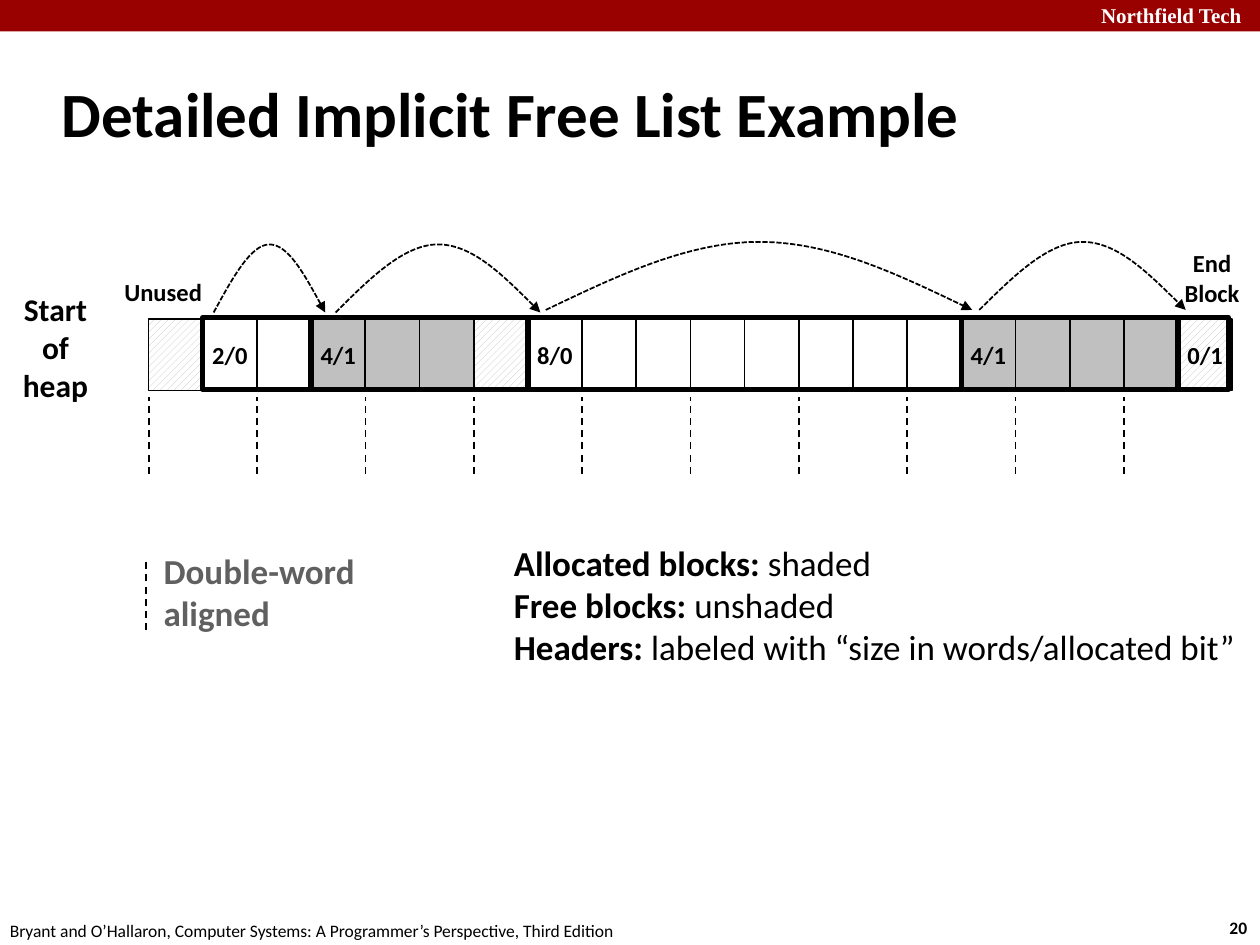
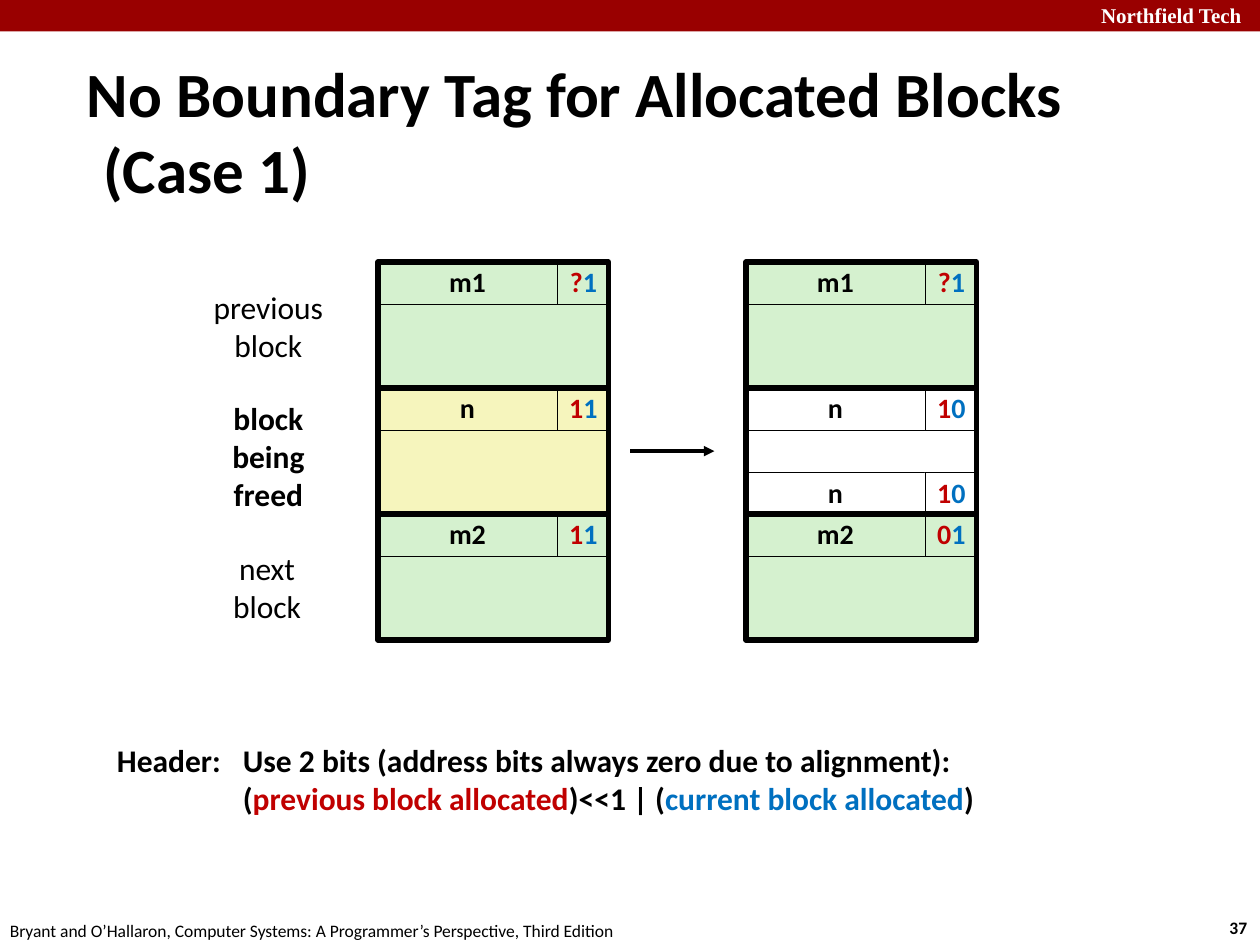
import pptx
import pptx.util
import pptx.dml.color
import pptx.enum.dml
import pptx.enum.shapes
import pptx.enum.text
import pptx.oxml.ns
import lxml.etree

Inches, Pt, qn = pptx.util.Inches, pptx.util.Pt, pptx.oxml.ns.qn
Align = pptx.enum.text.PP_ALIGN
Anchor = pptx.enum.text.MSO_ANCHOR
Fit = pptx.enum.text.MSO_AUTO_SIZE
Dash = pptx.enum.dml.MSO_LINE

WIDTH, HEIGHT = 10, 7.5
COLOURS = {
    "band": "990000", "black": "000000", "white": "FFFFFF", "shade": "C0C0C0",
    "muted": "606060", "green": "D5F1CF", "yellow": "F6F5BD",
    "previous": "C00000", "current": "0070C0",
}
RGB = {name: pptx.dml.color.RGBColor.from_string(code) for name, code in COLOURS.items()}


def box(slide, left, top, width, height, fill=None, line=None):
    """Add a rectangle; fill is a colour name, "hatch" or None, line a width in points."""
    shape = slide.shapes.add_shape(
        pptx.enum.shapes.MSO_SHAPE.RECTANGLE,
        Inches(left), Inches(top), Inches(width), Inches(height))
    shape.shadow.inherit = False
    if fill == "hatch":
        shape.fill.patterned()
        shape.fill.pattern = pptx.enum.dml.MSO_PATTERN.WIDE_UPWARD_DIAGONAL
        shape.fill.fore_color.rgb = RGB["shade"]
        shape.fill.back_color.rgb = RGB["white"]
    elif fill:
        shape.fill.solid()
        shape.fill.fore_color.rgb = RGB[fill]
    else:
        shape.fill.background()
    if line:
        shape.line.color.rgb = RGB["black"]
        shape.line.width = Pt(line)
    else:
        shape.line.fill.background()
    return shape


def write(shape, paragraphs, size, align=Align.LEFT, anchor=Anchor.MIDDLE,
          font="Calibri", hanging=0, grow=True, wrap=False):
    """Fill a shape with paragraphs, each a list of (text, colour, bold) runs."""
    frame = shape.text_frame
    frame.word_wrap = wrap
    frame.auto_size = Fit.SHAPE_TO_FIT_TEXT if grow else Fit.NONE
    frame.vertical_anchor = anchor
    for number, runs in enumerate(paragraphs):
        paragraph = frame.add_paragraph() if number else frame.paragraphs[0]
        paragraph.alignment = align
        if hanging:
            properties = paragraph._p.get_or_add_pPr()
            properties.set("marL", str(Inches(hanging)))
            properties.set("indent", str(-Inches(hanging)))
        for text, colour, bold in runs:
            for part, words in enumerate(text.split("\n")):
                if part:
                    paragraph.add_line_break()
                run = paragraph.add_run()
                run.text = words
                run.font.name, run.font.size, run.font.bold = font, Pt(size), bold
                run.font.color.rgb = RGB[colour]


deck = pptx.Presentation()
deck.slide_width, deck.slide_height = Inches(WIDTH), Inches(HEIGHT)
title_only = deck.slide_layouts[5]

# Band, title and footer shared by both slides
pages = [
    ("20", "Detailed Implicit Free List Example", (0.39, 0.48, 8.3, 0.83)),
    ("37", "No Boundary Tag for Allocated Blocks\n(Case 1)", (0.59, 0.72, 9.33, 0.63)),
]
CITATION = "Bryant and O’Hallaron, Computer Systems: A Programmer’s Perspective, Third Edition"
for page_number, heading, place in pages:
    slide = deck.slides.add_slide(title_only)
    box(slide, 0, 0, WIDTH, HEIGHT / 30, "band")
    title = slide.shapes.title
    title.left, title.top, title.width, title.height = map(Inches, place)
    write(title, [[(heading, "black", True)]], 36, hanging=0.13, grow=False, wrap=True)
    for text, spot, size, colour, bold, font in [
        ("Northfield Tech", (8.64, -0.03, 1.43, 0.3), 12, "white", True, "Times New Roman"),
        (page_number, (9.66, 7.23, 0.37, 0.27), 10, "black", True, "Calibri"),
        (CITATION, (-0.02, 7.25, 5.08, 0.27), 10, "black", False, "Calibri"),
    ]:
        write(slide.shapes.add_textbox(*map(Inches, spot)), [[(text, colour, bold)]],
              size, anchor=Anchor.TOP, font=font)
heap_slide, tag_slide = deck.slides
arrowed = []

# Heap: a row of equal words, grouped into blocks
WORD, WORD_HEIGHT, HEAP_LEFT, HEAP_TOP = 0.43, 0.57, 1.18, 2.53
blocks = [  # first word, words, header, fill of each word
    (0, 1, "", ["hatch"]),
    (1, 2, "2/0", ["white"] * 2),
    (3, 4, "4/1", ["shade"] * 3 + ["hatch"]),
    (7, 8, "8/0", ["white"] * 8),
    (15, 4, "4/1", ["shade"] * 4),
    (19, 1, "0/1", ["hatch"]),
]
for first, words, header, fills in blocks:
    for offset, fill in enumerate(fills):
        word = box(heap_slide, HEAP_LEFT + (first + offset) * WORD, HEAP_TOP,
                   WORD, WORD_HEIGHT, fill, 1)
        if header and offset == 0:
            write(word, [[(header, "black", True)]], 14, Align.CENTER, grow=False)
for first, words, header, fills in blocks[1:]:
    box(heap_slide, HEAP_LEFT + first * WORD, HEAP_TOP - 0.01,
        words * WORD - (0.03 if first == 19 else 0), WORD_HEIGHT, None, 3)

# Arcs from each header to the next, as smooth curves
ARC_HEIGHT = 0.54
for start, end, top in [(1.2, 3.26, 1.94), (3.45, 7.23, 1.94),
                        (7.33, 15.2, 1.92), (15.33, 19.14, 1.92)]:
    left, span = HEAP_LEFT + start * WORD, (end - start) * WORD
    builder = heap_slide.shapes.build_freeform(
        Inches(left), Inches(top + ARC_HEIGHT), scale=1.0)
    builder.add_line_segments(
        [(Inches(left + span / 2), Inches(top)),
         (Inches(left + span), Inches(top + ARC_HEIGHT))], close=False)
    arc = builder.convert_to_shape()
    arc.shadow.inherit = False
    arc.fill.background()
    arc.line.color.rgb = RGB["black"]
    arc.line.width = Pt(1)
    arc.line.dash_style = Dash.SQUARE_DOT
    arrowed.append(arc)
    path = arc.element.spPr.find(".//" + qn("a:path"))
    for straight in path.findall(qn("a:lnTo")):
        path.remove(straight)
    for controls in [((1 / 6, 1 / 2), (1 / 3, 0), (1 / 2, 0)),
                     ((2 / 3, 0), (5 / 6, 1 / 2), (1, 1))]:
        curve = lxml.etree.SubElement(path, qn("a:cubicBezTo"))
        for across, down in controls:
            lxml.etree.SubElement(curve, qn("a:pt"),
                                  x=str(Inches(span * across)),
                                  y=str(Inches(ARC_HEIGHT * down)))

heap_labels = [
    (["Start", "of", "heap"], (0.08, 2.25, 0.72, 1.01), 18, "black", Align.CENTER),
    (["End", "Block"], (9.3, 1.92, 0.64, 0.57), 14, "black", Align.CENTER),
    (["Unused"], (0.84, 2.13, 0.91, 0.37), 14, "black", Align.CENTER),
    (["Double-word", "aligned"], (1.2, 4.31, 2.04, 0.77), 20, "muted", Align.LEFT),
]
for lines, place, size, colour, align in heap_labels:
    write(heap_slide.shapes.add_textbox(*map(Inches, place)),
          [[(line, colour, True)] for line in lines], size, align)

legend = [("Allocated blocks: ", "shaded"), ("Free blocks: ", "unshaded"),
          ("Headers: ", "labeled with “size in words/allocated bit”")]
write(heap_slide.shapes.add_textbox(*map(Inches, (3.98, 4.25, 5.97, 1.11))),
      [[(term, "black", True), (meaning, "black", False)] for term, meaning in legend],
      20, anchor=Anchor.TOP)

# Blocks before and after freeing: three rows to a block, size and tag columns
ROW, SIZE_WIDTH, TAG_WIDTH, STACK_TOP = 1 / 3, 1.42, 0.42, 2.08
BLOCK_WIDTH = 1.83
stacks = [
    (3, [("m1", "?1", "green"), ("n", "11", "yellow"), ("m2", "11", "green")]),
    (5.92, [("m1", "?1", "green"), ("n", "10", "white"), ("m2", "01", "green")]),
]
for left, stack in stacks:
    for position, (size_text, bits, fill) in enumerate(stack):
        top = STACK_TOP + position * 3 * ROW
        freed = fill == "white"
        box(tag_slide, left, top + ROW, BLOCK_WIDTH, 2 * ROW, fill, 0.26)
        for row in ((0, 2) if freed else (0,)):
            for x, width, runs in [
                (left, SIZE_WIDTH, [(size_text, "black", True)]),
                (left + SIZE_WIDTH, TAG_WIDTH,
                 [(bits[0], "previous", True), (bits[1], "current", True)]),
            ]:
                field = box(tag_slide, x, top + row * ROW, width, ROW, fill, 0.26)
                write(field, [runs], 16, Align.CENTER, grow=False)
                field.text_frame.paragraphs[0].line_spacing = 0.98
        box(tag_slide, left, top, BLOCK_WIDTH, 3 * ROW, None, 3)

for lines, place, bold in [
    (["previous", "block"], (1.58, 2.24, 1.1, 0.71), False),
    (["block", "being", "freed"], (1.74, 3.12, 0.78, 1.01), True),
    (["next", "block"], (1.74, 4.31, 0.76, 0.71), False),
]:
    write(tag_slide.shapes.add_textbox(*map(Inches, place)),
          [[(line, "black", bold)] for line in lines], 18, Align.CENTER, Anchor.TOP)

write(tag_slide.shapes.add_textbox(*map(Inches, (0.83, 5.83, 7.06, 0.71))),
      [[("Header:\tUse 2 bits (address bits always zero due to alignment):\n(", "black", True),
        ("previous block allocated", "previous", True),
        (")<<1 | (", "black", True),
        ("current block allocated", "current", True),
        (")", "black", True)]],
      18, anchor=Anchor.TOP, hanging=1)

# Double-word boundaries, their key, and the arrow between the stacks
rules = [(heap_slide, HEAP_LEFT + word * WORD, 3.76, HEAP_LEFT + word * WORD, 3.15, 1, Dash.DASH)
         for word in range(0, 20, 2)]
rules.append((heap_slide, 1.16, 5, 1.16, 4.45, 1, Dash.DASH))
rules.append((tag_slide, 5, 3.58, 5.67, 3.58, 2, None))
for slide, x1, y1, x2, y2, weight, dash in rules:
    rule = slide.shapes.add_connector(
        pptx.enum.shapes.MSO_CONNECTOR.STRAIGHT,
        Inches(x1), Inches(y1), Inches(x2), Inches(y2))
    rule.line.color.rgb = RGB["black"]
    rule.line.width = Pt(weight)
    if dash:
        rule.line.dash_style = dash
    else:
        arrowed.append(rule)
    lxml.etree.SubElement(rule.element.spPr, qn("a:effectLst"))

for arrow in arrowed:
    lxml.etree.SubElement(arrow.element.spPr.find(qn("a:ln")), qn("a:tailEnd"), type="triangle")

deck.save("out.pptx")
